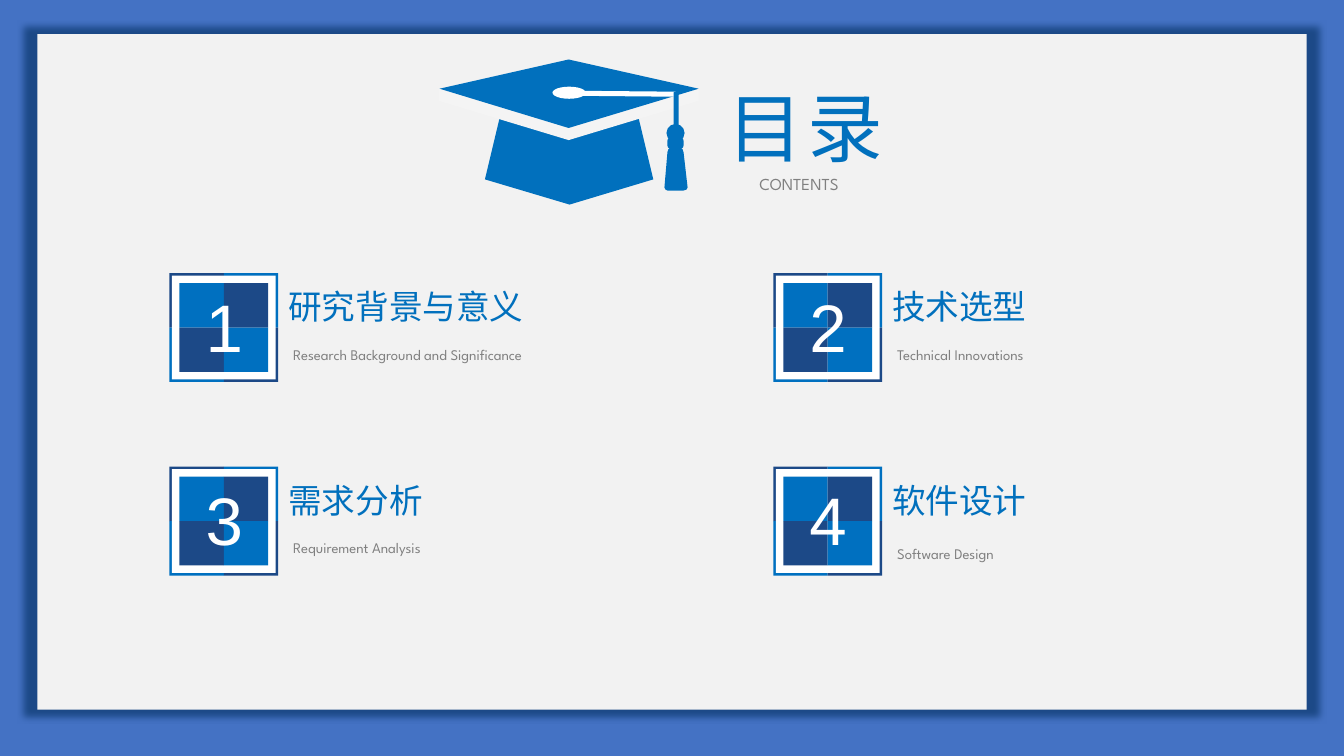
import itertools
from dataclasses import dataclass

import lxml.etree
import pptx
import pptx.dml.color
import pptx.enum.shapes
import pptx.enum.text
import pptx.oxml
import pptx.oxml.ns
import pptx.util

Inches = pptx.util.Inches
MSO = pptx.enum.shapes.MSO_SHAPE
ALIGN = pptx.enum.text.PP_ALIGN
qn = pptx.oxml.ns.qn

COLORS = {
    "background": "4472C4", "panel": "F2F2F2", "navy": "1C4987",
    "bright": "0070C0", "title": "0170BD", "brim": "F4F4F4",
    "gray": "808080", "white": "FFFFFF",
}
CJK, LATIN, DIGIT = "Noto Sans CJK SC", "League Spartan", "Arial"


@dataclass
class Chapter:
    left: float
    top: float
    heading: str
    heading_width: float
    subtitle: str
    subtitle_width: float
    subtitle_drop: float = 0.58


@dataclass
class Outline:
    color: str
    points: list[tuple[float, float]]


@dataclass
class Preset:
    kind: int
    color: str
    box: tuple[float, float, float, float]


CHAPTERS = [
    Chapter(1.68, 2.71, "研究背景与意义", 3.22, "Research Background and Significance", 3.45),
    Chapter(7.67, 2.71, "技术选型", 3.28, "Technical Innovations", 2.97),
    Chapter(1.68, 4.63, "需求分析", 3.29, "Requirement Analysis", 2.97),
    Chapter(7.67, 4.63, "软件设计", 2.89, "Software Design", 2.97, 0.64),
]

# Graduation cap, from back to front
CAP = [
    Outline("title", [(6.48, 1.78), (5.65, 2.03), (4.81, 1.78), (4.98, 1.07), (6.31, 1.07)]),
    Outline("brim", [(6.93, 0.88), (5.64, 0.59), (4.35, 0.88), (4.35, 1), (5.64, 1.39), (6.93, 1)]),
    Outline("title", [(5.64, 1.27), (4.36, 0.88), (5.64, 0.59), (6.93, 0.88)]),
    Outline("white", [(6.72, 0.94), (6.71, 0.96), (6.68, 0.96), (5.61, 0.95), (5.59, 0.92),
                      (5.62, 0.9), (6.7, 0.91)]),
    Preset(MSO.ROUNDED_RECTANGLE, "title", (6.68, 0.91, 0.05, 0.38)),
    Preset(MSO.OVAL, "title", (6.61, 1.23, 0.18, 0.18)),
    Outline("title", [(6.82, 1.86), (6.81, 1.88), (6.78, 1.89), (6.62, 1.89), (6.6, 1.88),
                      (6.59, 1.86), (6.62, 1.51), (6.63, 1.48), (6.65, 1.47), (6.75, 1.47),
                      (6.77, 1.48), (6.78, 1.51)]),
    Preset(MSO.ROUNDED_RECTANGLE, "title", (6.62, 1.36, 0.16, 0.12)),
    Preset(MSO.OVAL, "white", (5.48, 0.86, 0.33, 0.12)),
]


def rgb(color: str) -> pptx.dml.color.RGBColor:
    return pptx.dml.color.RGBColor.from_string(COLORS[color])


def paint(sp, color: str) -> None:
    sp.shadow.inherit = False
    sp.fill.solid()
    sp.fill.fore_color.rgb = rgb(color)
    sp.line.fill.background()


def add_preset(shapes, preset: Preset):
    sp = shapes.add_shape(preset.kind, *map(Inches, preset.box))
    paint(sp, preset.color)
    return sp


def add_outline(shapes, outline: Outline) -> None:
    start, *rest = [(Inches(x), Inches(y)) for x, y in outline.points]
    builder = shapes.build_freeform(*start)
    builder.add_line_segments(rest, close=True)
    paint(builder.convert_to_shape(), outline.color)


def write(sp, text: str, *, size: float, font: str, color: str, align=ALIGN.LEFT,
          line_spacing: float = 1.0, wrap: bool = True, tracking: float = 0) -> None:
    tf = sp.text_frame
    tf.word_wrap = wrap
    tf.auto_size = pptx.enum.text.MSO_AUTO_SIZE.SHAPE_TO_FIT_TEXT
    tf.vertical_anchor = pptx.enum.text.MSO_ANCHOR.TOP
    p = tf.paragraphs[0]
    p.alignment = align
    p.line_spacing = line_spacing
    r = p.add_run()
    r.text = text
    r.font.size = pptx.util.Pt(size)
    r.font.name = font
    r.font.color.rgb = rgb(color)
    props = r.font._element
    lxml.etree.SubElement(props, qn("a:ea")).set("typeface", font)
    if tracking:
        props.set("spc", str(int(tracking * 100)))


def add_text(shapes, box: tuple[float, float, float, float], text: str, **style) -> None:
    write(shapes.add_textbox(*map(Inches, box)), text, **style)


def add_checker(shapes, center_x: float, center_y: float, side: float,
                first: str, second: str) -> None:
    for row, col in itertools.product(range(2), repeat=2):
        color = first if row == col else second
        box = (center_x + (col - 1) * side, center_y + (row - 1) * side, side, side)
        add_preset(shapes, Preset(MSO.RECTANGLE, color, box))


def add_chapter(shapes, number: int, item: Chapter) -> None:
    # Numbered badge
    badge = shapes.add_group_shape().shapes
    x, y = item.left + 0.54, item.top + 0.54
    add_checker(badge, x, y, 0.54, "navy", "bright")
    add_preset(badge, Preset(MSO.RECTANGLE, "white", (x - 0.515, y - 0.515, 1.03, 1.03)))
    add_checker(badge, x, y, 0.44, "bright", "navy")
    add_text(badge, (x - 0.28, item.top + 0.07, 0.56, 0.91), str(number),
             size=48, font=DIGIT, color="white", align=ALIGN.CENTER, wrap=False)
    # Heading and subtitle
    add_text(shapes, (item.left + 1.08, item.top + 0.08, item.heading_width, 0.5),
             item.heading, size=24, font=CJK, color="title")
    add_text(shapes, (item.left + 1.13, item.top + item.subtitle_drop, item.subtitle_width, 0.33),
             item.subtitle, size=10.5, font=LATIN, color="gray", line_spacing=1.5)


def add_panel(slide) -> None:
    sp = add_preset(slide.shapes, Preset(MSO.RECTANGLE, "panel", (0.37, 0.34, 12.59, 6.7)))
    effects = sp._element.spPr.find(qn("a:effectLst"))
    shadow = lxml.etree.SubElement(effects, qn("a:outerShdw"), blurRad=str(pptx.util.Pt(5)),
                                   sx="102000", sy="102000", algn="ctr", rotWithShape="0")
    lxml.etree.SubElement(shadow, qn("a:srgbClr"), val=COLORS["navy"])
    # Keep the panel behind the title
    slide.shapes.title._element.addprevious(sp._element)


def main() -> None:
    prs = pptx.Presentation()
    prs.slide_width, prs.slide_height = Inches(13.33), Inches(7.5)
    slide = prs.slides.add_slide(prs.slide_layouts[5])
    slide.background.fill.solid()
    slide.background.fill.fore_color.rgb = rgb("background")
    add_panel(slide)

    # Title and its caption
    title = slide.shapes.title
    title.left, title.top, title.width, title.height = map(Inches, (6.99, 0.75, 2, 1.01))
    write(title, "目录", size=54, font=CJK, color="title", align=ALIGN.CENTER, tracking=3)
    add_text(slide.shapes, (7.34, 1.57, 1.17, 0.37), "CONTENTS", size=12, font=LATIN,
             color="gray", align=ALIGN.CENTER, line_spacing=1.5)

    # Cap
    cap = slide.shapes.add_group_shape().shapes
    for part in CAP:
        if isinstance(part, Outline):
            add_outline(cap, part)
        else:
            sp = add_preset(cap, part)
            if part.kind == MSO.ROUNDED_RECTANGLE:
                sp.adjustments[0] = 0.3

    # Chapters
    for number, item in enumerate(CHAPTERS, start=1):
        add_chapter(slide.shapes, number, item)

    prs.save("out.pptx")


if __name__ == "__main__":
    main()
